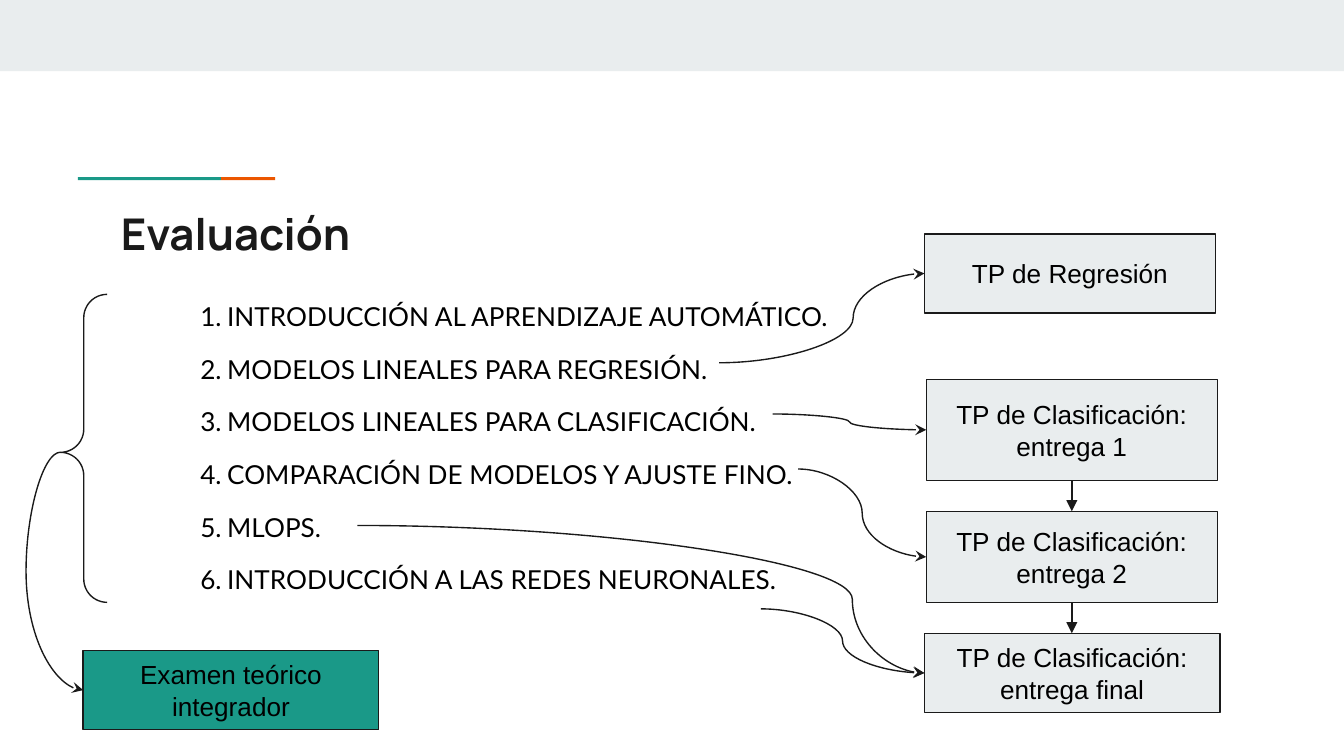
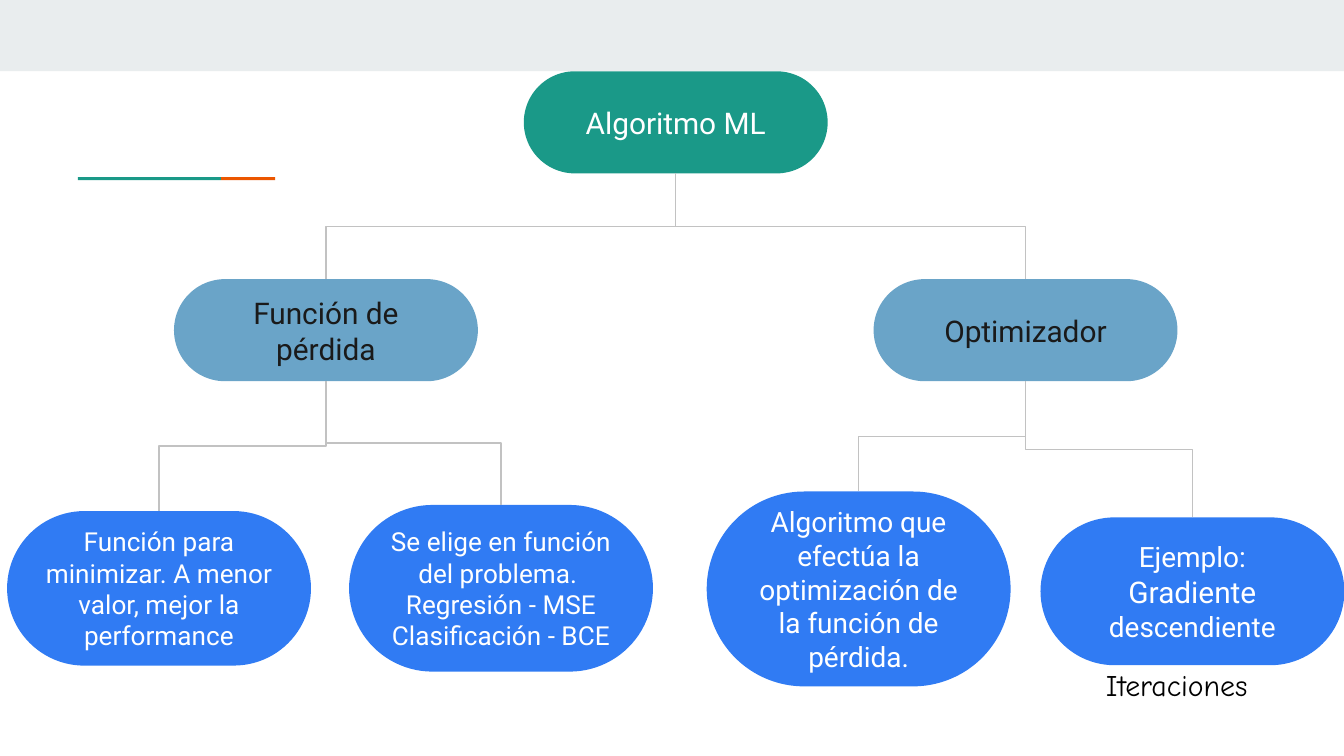
from lxml.etree import SubElement
from pptx import Presentation
from pptx.dml.color import RGBColor
from pptx.enum.shapes import MSO_CONNECTOR, MSO_SHAPE
from pptx.enum.text import MSO_ANCHOR, MSO_AUTO_SIZE, PP_ALIGN
from pptx.oxml.ns import qn
from pptx.util import Pt

WIDE, HIGH = 720, 405
BAND = 38.2
INK, BLACK, WHITE = "1A1A1A", "000000", "FFFFFF"
TEAL, RUST, PALE = "1A9988", "EB5600", "E9EDEE"
STEEL, BLUE, GREY = "6AA4C8", "307BF3", "C2C2C2"

TOPICS = [
    "INTRODUCCIÓN AL APRENDIZAJE AUTOMÁTICO.",
    "MODELOS LINEALES PARA REGRESIÓN.",
    "MODELOS LINEALES PARA CLASIFICACIÓN.",
    "COMPARACIÓN DE MODELOS Y AJUSTE FINO.",
    "MLOPS.",
    "INTRODUCCIÓN A LAS REDES NEURONALES.",
]
# text, left, top, width, height within the task column
TASKS = [
    ("TP de Regresión", 0, 0, 156, 42.5),
    ("TP de Clasificación: entrega 1", 1, 78, 156, 54),
    ("TP de Clasificación: entrega 2", 1, 148.6, 156, 49),
    ("TP de Clasificación: entrega final", 0, 214, 158.4, 42.5),
]
# start within the topic list, index of the task, bend
LINKS = [
    (327.6, 41.8, 0, 0.653),
    (356.4, 69.2, 1, 0.5),
    (370, 98.7, 2, 0.5),
    (133.9, 128.9, 3, 0.873),
    (350, 173.6, 3, 0.5),
]


def color(code):
    return RGBColor.from_string(code)


def points(box):
    return [Pt(side) for side in box]


def style(font, name, size, code, bold=False):
    font.name, font.size, font.bold = name, Pt(size), bold
    font.color.rgb = color(code)


def write(frame, text, name, size, code, align=PP_ALIGN.LEFT,
          anchor=MSO_ANCHOR.TOP, bold=False):
    """Fill a text frame, one paragraph for each line of text."""
    frame.text = text
    frame.word_wrap = True
    frame.vertical_anchor = anchor
    frame.margin_left = frame.margin_right = Pt(7.2)
    frame.margin_top = frame.margin_bottom = Pt(7.2)
    for para in frame.paragraphs:
        para.alignment = align
        for run in para.runs:
            style(run.font, name, size, code, bold)


def block(slide, kind, box, fill=None, edge=None):
    shape = slide.shapes.add_shape(kind, *points(box))
    shape.shadow.inherit = False
    if fill:
        shape.fill.solid()
        shape.fill.fore_color.rgb = color(fill)
    else:
        shape.fill.background()
    if edge:
        shape.line.color.rgb = color(edge)
        shape.line.width = Pt(0.75)
    else:
        shape.line.fill.background()
    return shape


def label(slide, box, text, fill):
    shape = block(slide, MSO_SHAPE.RECTANGLE, box, fill, INK)
    write(shape.text_frame, text, "Arial", 14, BLACK,
          PP_ALIGN.CENTER, MSO_ANCHOR.MIDDLE)
    return shape


def wire(slide, kind, start, end, code, head=None, bend=None):
    """Draw a connector; bend is the place of its middle leg."""
    link = slide.shapes.add_connector(kind, *points(start + end))
    link.line.color.rgb = color(code)
    link.line.width = Pt(0.75)
    props = link._element.spPr
    if head:
        SubElement(props.find(qn("a:ln")), qn("a:tailEnd"), type=head)
    if bend is not None:
        guides = props.find(qn("a:prstGeom")).find(qn("a:avLst"))
        SubElement(guides, qn("a:gd"), name="adj1",
                   fmla=f"val {round(bend * 100000)}")
    SubElement(props, qn("a:effectLst"))
    return link


def branch(slide, upper, lower):
    """Join two pills with an elbow that leaves downwards."""
    x1, y1 = middle(upper), upper.top.pt + upper.height.pt
    x2, y2 = middle(lower), lower.top.pt
    midx, midy = (x1 + x2) / 2, (y1 + y2) / 2
    run, rise = (y2 - y1) / 2, abs(x2 - x1) / 2
    right = x2 > x1
    if right:
        run = -run
    link = wire(slide, MSO_CONNECTOR.ELBOW, (midx - run, midy - rise),
                (midx + run, midy + rise), GREY)
    frame = link._element.spPr.find(qn("a:xfrm"))
    frame.set("rot", "16200000" if right else "5400000")


def middle(shape):
    return shape.left.pt + shape.width.pt / 2


def center(shape):
    return shape.top.pt + shape.height.pt / 2


def backdrop(slide):
    """Add the top band and the two-colour accent rule."""
    bars = [((0, 0, WIDE, BAND), PALE),
            ((41.8, 94.9, 76.6, 1.6), TEAL),
            ((118.4, 94.9, 29, 1.6), RUST)]
    for box, fill in bars:
        block(slide, MSO_SHAPE.RECTANGLE, box, fill)


def place(holder, box):
    holder.left, holder.top, holder.width, holder.height = points(box)
    return holder.text_frame


def heading(slide, box, text):
    frame = place(slide.shapes.title, box)
    write(frame, text, "Manrope", 23.4, INK, bold=True)
    frame.auto_size = MSO_AUTO_SIZE.NONE


def topics(slide, box):
    frame = place(slide.placeholders[1], box)
    frame.text = "\n".join(TOPICS)
    for rank, para in enumerate(frame.paragraphs):
        para.line_spacing = 1.08
        para.space_before = Pt(10 if rank else 0)
        props = para._p.get_or_add_pPr()
        props.set("marL", str(Pt(56.9)))
        props.set("indent", str(Pt(-14.4)))
        tint = SubElement(props, qn("a:buClr"))
        SubElement(tint, qn("a:srgbClr"), val=BLACK)
        SubElement(props, qn("a:buFont"), typeface="Lato")
        SubElement(props, qn("a:buAutoNum"), type="arabicPeriod")
    for para in frame.paragraphs:
        para.alignment = PP_ALIGN.LEFT
        for run in para.runs:
            style(run.font, "Lato", 14, BLACK)
    frame.word_wrap = True
    frame.vertical_anchor = MSO_ANCHOR.TOP
    frame.margin_left = frame.margin_right = Pt(7.2)
    frame.margin_top = frame.margin_bottom = Pt(7.2)
    frame.auto_size = MSO_AUTO_SIZE.NONE


def tasks(slide, left, top):
    boxes = [label(slide, (left + x, top + y, w, h), text, PALE)
             for text, x, y, w, h in TASKS]
    for upper, lower in zip(boxes[1:], boxes[2:]):
        x = middle(upper)
        wire(slide, MSO_CONNECTOR.STRAIGHT,
             (x, upper.top.pt + upper.height.pt), (x, lower.top.pt),
             INK, "triangle")
    return boxes


def exam(slide, left, top):
    """Brace all topics and lead them to the final exam."""
    brace = block(slide, MSO_SHAPE.LEFT_BRACE, (left, top, 25, 165), edge=INK)
    brace.adjustments[0], brace.adjustments[1] = 0.5, 0.513
    box = label(slide, (left + 12.2, top + 190.8, 158.4, 42.5),
                "Examen teórico integrador", TEAL)
    wire(slide, MSO_CONNECTOR.CURVE, (left, top + 84.6),
         (box.left.pt, center(box)), INK, "stealth", -1.512)


def grading(slide):
    backdrop(slide)
    heading(slide, (57.6, 103.7, 605.5, 42.5), "Evaluación")
    left, top = 57.6, 152.6
    topics(slide, (left, top, 399, 189.4))
    boxes = tasks(slide, 495.2, 125.3)
    for x, y, goal, bend in LINKS:
        box = boxes[goal]
        wire(slide, MSO_CONNECTOR.CURVE, (left + x, top + y),
             (box.left.pt, center(box)), INK, "stealth", bend)
    exam(slide, 32.4, 157.7)


def pill(slide, x, y, high, text, fill, size=16, code=WHITE):
    """Add a pill centred on x, y."""
    wide = 162.8
    shape = block(slide, MSO_SHAPE.ROUNDED_RECTANGLE,
                  (x - wide / 2, y - high / 2, wide, high), fill)
    shape.adjustments[0] = 0.5
    write(shape.text_frame, text, "Roboto", size, code,
          PP_ALIGN.CENTER, MSO_ANCHOR.MIDDLE)
    return shape


def tree(slide, axis, top):
    """Draw the tree around a vertical axis, from its top down."""
    high, reach = 54.7, 187.4
    root = pill(slide, axis, top + high / 2, high, "Algoritmo ML", TEAL)
    loss, tuner = [
        pill(slide, axis + side * reach, top + 138.7, high, text, STEEL,
             code=INK)
        for side, text in ((-1, "Función de pérdida"), (1, "Optimizador"))]
    leaves = [
        (loss, -89.4, 277, 82.8, 14,
         "Función para minimizar. A menor valor, mejor la performance"),
        (loss, 93.8, 277, 89.3, 14,
         "Se elige en función del problema. \nRegresión - MSE\n"
         "Clasificación - BCE"),
        (tuner, -89.4, 277.3, 104.4, 15,
         "Algoritmo que efectúa la optimización de la función de pérdida."),
        (tuner, 89.4, 278.6, 79.2, 15, "Ejemplo: "),
    ]
    pairs = [(root, loss), (root, tuner)]
    for owner, shift, y, tall, size, text in leaves:
        leaf = pill(slide, middle(owner) + shift, top + y, tall, text,
                    BLUE, size)
        pairs.append((owner, leaf))
    para = leaf.text_frame.paragraphs[0]
    for word, size in (("Gradiente ", 16), ("descendiente", 15)):
        run = para.add_run()
        run.text = word
        style(run.font, "Roboto", size, WHITE)
    for upper, lower in pairs:
        branch(slide, upper, lower)


def caption(slide, box, text):
    frame = slide.shapes.add_textbox(*points(box)).text_frame
    write(frame, text, "Comic Neue", 16, BLACK)
    frame.auto_size = MSO_AUTO_SIZE.SHAPE_TO_FIT_TEXT


def method(slide):
    backdrop(slide)
    tree(slide, 362, BAND)
    caption(slide, (585.4, 349.9, 106.6, 33.8), "Iteraciones")


def main():
    deck = Presentation()
    deck.slide_width, deck.slide_height = Pt(WIDE), Pt(HIGH)
    for layout, build in ((1, grading), (6, method)):
        build(deck.slides.add_slide(deck.slide_layouts[layout]))
    deck.save("out.pptx")


if __name__ == "__main__":
    main()
